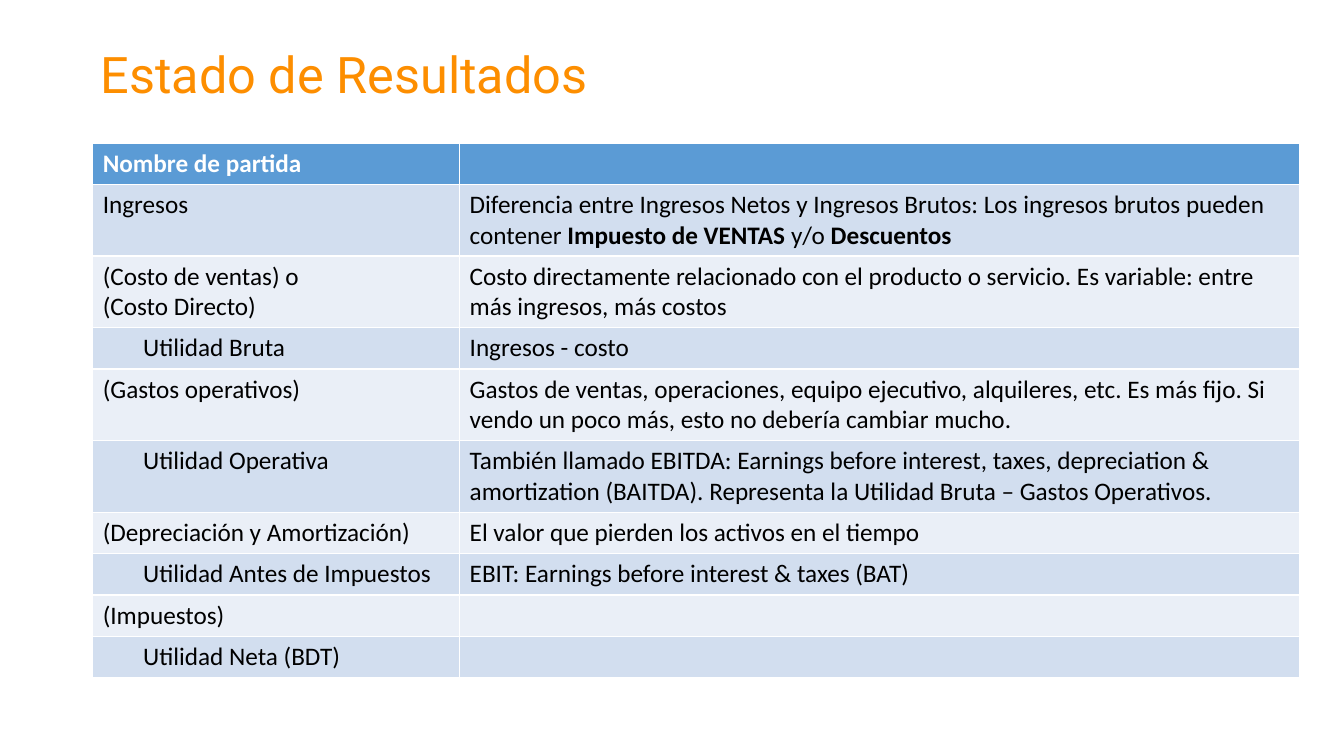
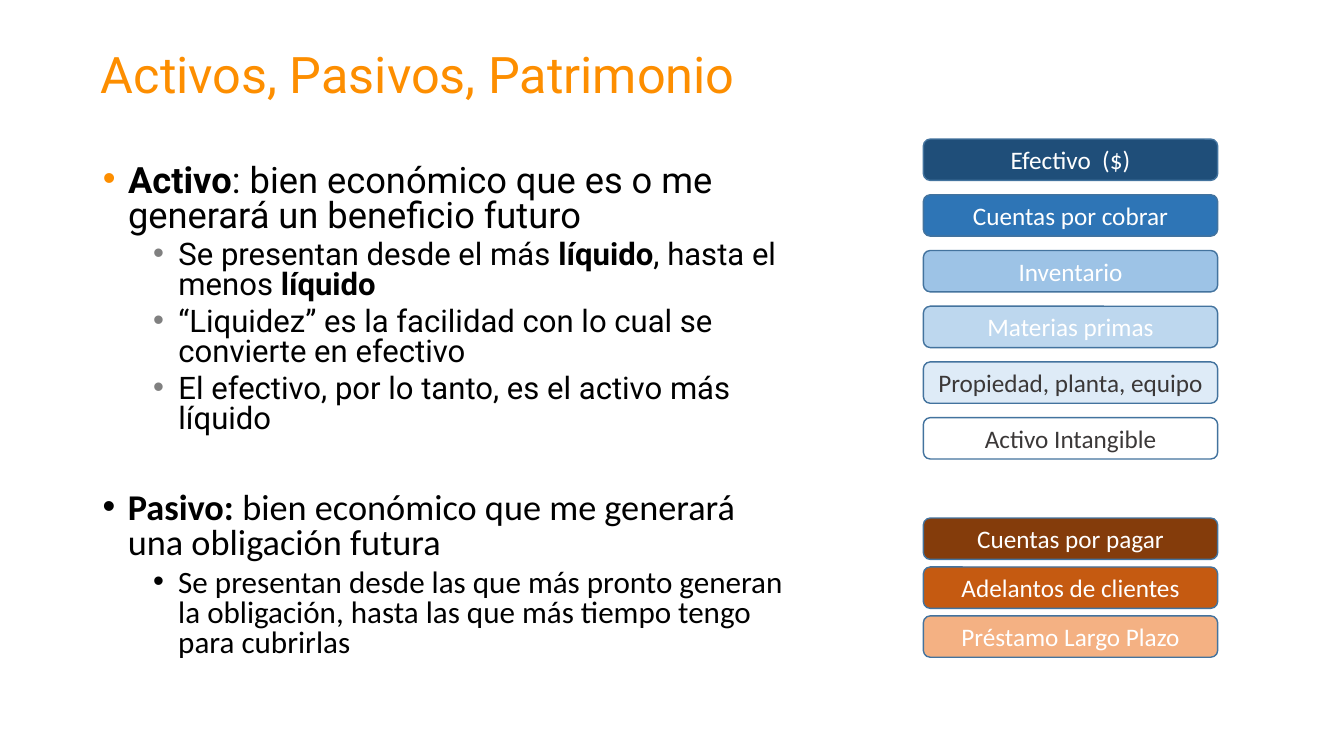
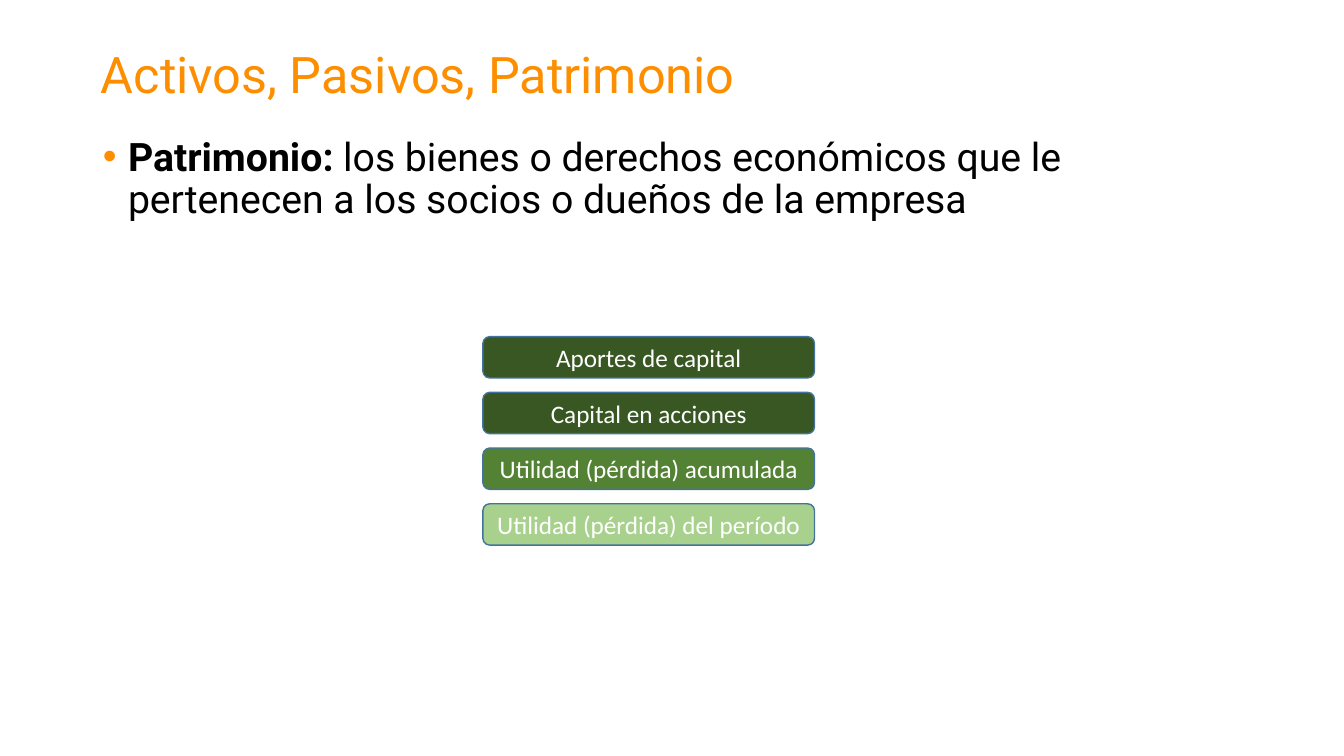
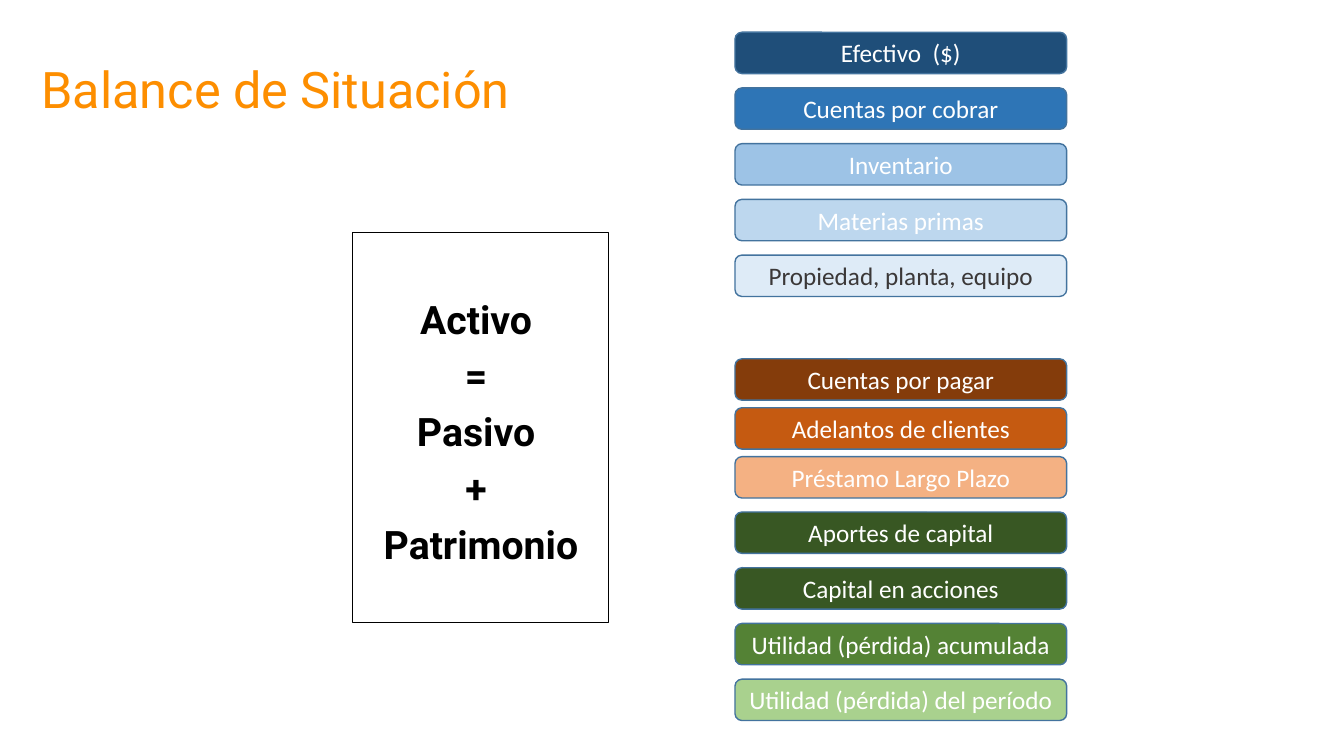
import pptx
import pptx.dml.color
import pptx.enum.shapes
import pptx.enum.text
import pptx.util
from lxml import etree

SLIDE_WIDTH = pptx.util.Inches(13.33)
SLIDE_HEIGHT = pptx.util.Inches(7.5)
ALIGN = pptx.enum.text.PP_ALIGN
ANCHOR = pptx.enum.text.MSO_ANCHOR

ORANGE, BLACK, WHITE, GREY = "FD8E00", "000000", "FFFFFF", "808080"
DARK_TEXT, CHIP_EDGE = "3B3838", "43739E"
HEADER_FILL, BAND_FILLS = "5B9BD5", ("D2DEEF", "EAEFF7")
HEAD_FONT, PLAIN_FONT = "Roboto", "Calibri"

# Shares of the slide's size, in percent
MARGIN = 6.9
FULL_WIDTH = 86.27
TITLE_AREA = (MARGIN, 5.33, FULL_WIDTH, 9.87)
ROW_HEIGHT = 5.47
WIDE_PITCH, TIGHT_PITCH = 7.37, 6.47
WIDE_CHIP, NARROW_CHIP = 24.68, 21.9

ASSETS = [
    ("Efectivo  ($)", "1F4E79", WHITE),
    ("Cuentas por cobrar", "2E75B6", WHITE),
    ("Inventario", "9DC3E6", WHITE),
    ("Materias primas", "BDD7EE", WHITE),
    ("Propiedad, planta, equipo", "DEEBF7", DARK_TEXT),
]
INTANGIBLE = ("Activo Intangible", WHITE, DARK_TEXT)
LIABILITIES = [
    ("Cuentas por pagar", "843C0B", WHITE),
    ("Adelantos de clientes", "C55A11", WHITE),
    ("Préstamo Largo Plazo", "F4B183", WHITE),
]
EQUITY = [
    ("Aportes de capital", "385723", WHITE),
    ("Capital en acciones", "385723", WHITE),
    ("Utilidad (pérdida) acumulada", "548235", WHITE),
    ("Utilidad (pérdida) del período", "A9D18E", WHITE),
]

# Name of the item, whether it is an indented subtotal, explanation
STATEMENT = [
    ("Ingresos", False,
     "Diferencia entre Ingresos Netos y Ingresos Brutos: Los ingresos brutos pueden "
     "contener **Impuesto de VENTAS **y/o **Descuentos**"),
    ("(Costo de ventas) o\n(Costo Directo)", False,
     "Costo directamente relacionado con el producto o servicio. Es variable: entre "
     "más ingresos, más costos"),
    ("Utilidad Bruta", True, "Ingresos - costo"),
    ("(Gastos operativos)", False,
     "Gastos de ventas, operaciones, equipo ejecutivo, alquileres, etc. Es más fijo. "
     "Si vendo un poco más, esto no debería cambiar mucho."),
    ("Utilidad Operativa", True,
     "También llamado EBITDA: Earnings before interest, taxes, depreciation & "
     "amortization (BAITDA). Representa la Utilidad Bruta – Gastos Operativos."),
    ("(Depreciación y Amortización)", False,
     "El valor que pierden los activos en el tiempo"),
    ("Utilidad Antes de Impuestos", True, "EBIT: Earnings before interest & taxes (BAT)"),
    ("(Impuestos)", False, ""),
    ("Utilidad Neta (BDT)", True, ""),
]

# Level and text of each list item
ASSET_ITEMS = [
    (0, "**Activo**: bien económico que es o me generará un beneficio futuro"),
    (1, "Se presentan desde el más **líquido**, hasta el menos **líquido**"),
    (1, "“Liquidez” es la facilidad con lo cual se convierte en efectivo"),
    (1, "El efectivo, por lo tanto, es el activo más líquido"),
]
LIABILITY_ITEMS = [
    (0, "**Pasivo:** bien económico que me generará una obligación futura"),
    (1, "Se presentan desde las que más pronto generan la obligación, hasta las que "
        "más tiempo tengo para cubrirlas"),
]
EQUITY_ITEMS = [
    (0, "**Patrimonio:** los bienes o derechos económicos que le pertenecen a los "
        "socios o dueños de la empresa"),
]
EQUATION = ["Activo ", "= ", "Pasivo ", "+ ", "Patrimonio"]


def rgb(value):
    return pptx.dml.color.RGBColor.from_string(value)


def across(share):
    return round(SLIDE_WIDTH * share / 100)


def down(share):
    return round(SLIDE_HEIGHT * share / 100)


def area(left, top, width, height):
    return across(left), down(top), across(width), down(height)


def set_format(target, values):
    for name, value in values.items():
        setattr(target, name, value)


def move(shape, shares):
    set_format(shape, dict(zip(("left", "top", "width", "height"), area(*shares))))


def write(para, text, size, font=PLAIN_FONT, color=BLACK, bold=False):
    """Add the text to the paragraph; parts between ** marks are bold."""
    for index, part in enumerate(text.split("**")):
        if part:
            span = para.add_run()
            span.text = part
            set_format(span.font, {"name": font, "size": pptx.util.Pt(size),
                                   "bold": bold or index % 2 == 1})
            span.font.color.rgb = rgb(color)


def paragraphs(frame, count):
    return [frame.paragraphs[0]] + [frame.add_paragraph() for _ in range(count - 1)]


def set_bullet(para, level, color):
    properties = para._p.get_or_add_pPr()
    properties.set("marL", str(pptx.util.Inches(0.25 + 0.5 * level)))
    properties.set("indent", str(pptx.util.Inches(-0.25)))
    namespace = pptx.oxml.ns.qn
    holder = etree.SubElement(properties, namespace("a:buClr"))
    etree.SubElement(holder, namespace("a:srgbClr"), val=color)
    etree.SubElement(properties, namespace("a:buFont"), typeface="Arial")
    etree.SubElement(properties, namespace("a:buChar"), char="•")


def remove_bullet(para):
    properties = para._p.get_or_add_pPr()
    set_format(properties, {"marL": 0} if hasattr(properties, "marL") else {})
    properties.set("marL", "0")
    properties.set("indent", "0")
    etree.SubElement(properties, pptx.oxml.ns.qn("a:buNone"))


def plain_frame(shape, anchor):
    frame = shape.text_frame
    set_format(frame, {"word_wrap": True, "vertical_anchor": anchor,
                       "auto_size": pptx.enum.text.MSO_AUTO_SIZE.NONE})
    return frame


def add_page(deck, title, layout="Title and Content", shares=TITLE_AREA):
    page = deck.slides.add_slide(deck.slide_layouts.get_by_name(layout))
    move(page.shapes.title, shares)
    frame = plain_frame(page.shapes.title, ANCHOR.MIDDLE)
    sides = ("margin_left", "margin_top", "margin_right", "margin_bottom")
    set_format(frame, dict.fromkeys(sides, pptx.util.Inches(0.08)))
    para = frame.paragraphs[0]
    set_format(para, {"alignment": ALIGN.LEFT, "line_spacing": 0.9})
    write(para, title, 36, HEAD_FONT, ORANGE)
    return page


def fill_list(shape, items, sizes, spacing, font, bullet_colors):
    """Write bulleted items; sizes and bullet colours go by level."""
    frame = plain_frame(shape, ANCHOR.TOP)
    for para, (level, text) in zip(paragraphs(frame, len(items)), items):
        set_format(para, {"level": level, "line_spacing": spacing,
                          "space_before": pptx.util.Pt((10, 5)[level])})
        set_bullet(para, level, bullet_colors[level])
        write(para, text, sizes[level], font)


def add_chips(page, chips, left, top, width, pitch):
    """Stack rounded labels at an equal pitch."""
    for index, (text, fill, color) in enumerate(chips):
        chip = page.shapes.add_shape(
            pptx.enum.shapes.MSO_SHAPE.ROUNDED_RECTANGLE,
            *area(left, top + index * pitch, width, ROW_HEIGHT))
        chip.shadow.inherit = False
        chip.fill.solid()
        chip.fill.fore_color.rgb = rgb(fill)
        chip.line.color.rgb = rgb(CHIP_EDGE)
        chip.line.width = pptx.util.Pt(1)
        para = plain_frame(chip, ANCHOR.MIDDLE).paragraphs[0]
        para.alignment = ALIGN.CENTER
        write(para, text, 18, color=color)


def fill_cell(cell, text, fill, color=BLACK, bold=False):
    cell.fill.solid()
    cell.fill.fore_color.rgb = rgb(fill)
    lines = text.split("\n")
    for para, line in zip(paragraphs(cell.text_frame, len(lines)), lines):
        write(para, line, 18, color=color, bold=bold)


def add_statement(page):
    widths = (27.3, 62.5)
    count = len(STATEMENT) + 1
    table = page.shapes.add_table(
        count, 2, *area(MARGIN, 18.93, sum(widths), count * ROW_HEIGHT)).table
    for column, width in zip(table.columns, widths):
        column.width = across(width)
    for index, text in enumerate(("Nombre de partida", "")):
        fill_cell(table.cell(0, index), text, HEADER_FILL, WHITE, True)
    for row, (name, subtotal, meaning) in enumerate(STATEMENT, 1):
        fill = BAND_FILLS[(row - 1) % 2]
        fill_cell(table.cell(row, 0), name, fill)
        fill_cell(table.cell(row, 1), meaning, fill)
        if subtotal:
            table.cell(row, 0).margin_left = pptx.util.Inches(0.5)


def add_equation(page):
    box = page.placeholders[1]
    move(box, (26.26, 30.8, 19.05, 51.6))
    box.line.color.rgb = rgb(BLACK)
    box.line.width = pptx.util.Pt(0.75)
    frame = plain_frame(box, ANCHOR.TOP)
    frame.margin_top = pptx.util.Inches(0.67)
    for para, text in zip(paragraphs(frame, len(EQUATION)), EQUATION):
        set_format(para, {"alignment": ALIGN.CENTER, "line_spacing": 0.9,
                          "space_before": pptx.util.Pt(10)})
        remove_bullet(para)
        write(para, text, 28, HEAD_FONT, bold=True)


def build_assets_page(deck):
    page = add_page(deck, "Activos, Pasivos, Patrimonio")
    body = page.placeholders[1]
    move(body, (MARGIN, 21.2, 52.36, 38.53))
    sizes = (25.9, 22.2)
    fill_list(body, ASSET_ITEMS, sizes, 0.8, HEAD_FONT, (ORANGE, GREY))
    box = page.shapes.add_textbox(*area(MARGIN, 64.53, 52.36, 24.93))
    fill_list(box, LIABILITY_ITEMS, sizes, 0.8, PLAIN_FONT, (BLACK, BLACK))
    add_chips(page, ASSETS + [INTANGIBLE], 68.7, 18.4, NARROW_CHIP, WIDE_PITCH)
    add_chips(page, LIABILITIES, 68.7, 68.53, NARROW_CHIP, TIGHT_PITCH)


def build_equity_page(deck):
    page = add_page(deck, "Activos, Pasivos, Patrimonio")
    body = page.placeholders[1]
    move(body, (MARGIN, 17.47, FULL_WIDTH, 70))
    fill_list(body, EQUITY_ITEMS, (28,), 0.9, HEAD_FONT, (ORANGE,))
    add_chips(page, EQUITY, 35.93, 44.53, WIDE_CHIP, WIDE_PITCH)


def build_balance_page(deck):
    page = add_page(deck, "Balance de Situación", shares=(2.48, 2.53, FULL_WIDTH, 19.33))
    for chips, top, pitch in ((ASSETS, 4.27, WIDE_PITCH),
                              (LIABILITIES, 47.47, TIGHT_PITCH),
                              (EQUITY, 67.73, WIDE_PITCH)):
        add_chips(page, chips, 54.69, top, WIDE_CHIP, pitch)
    add_equation(page)


def main():
    deck = pptx.Presentation()
    set_format(deck, {"slide_width": SLIDE_WIDTH, "slide_height": SLIDE_HEIGHT})
    add_statement(add_page(deck, "Estado de Resultados", "Title Only"))
    build_assets_page(deck)
    build_equity_page(deck)
    build_balance_page(deck)
    deck.save("out.pptx")


if __name__ == "__main__":
    main()
